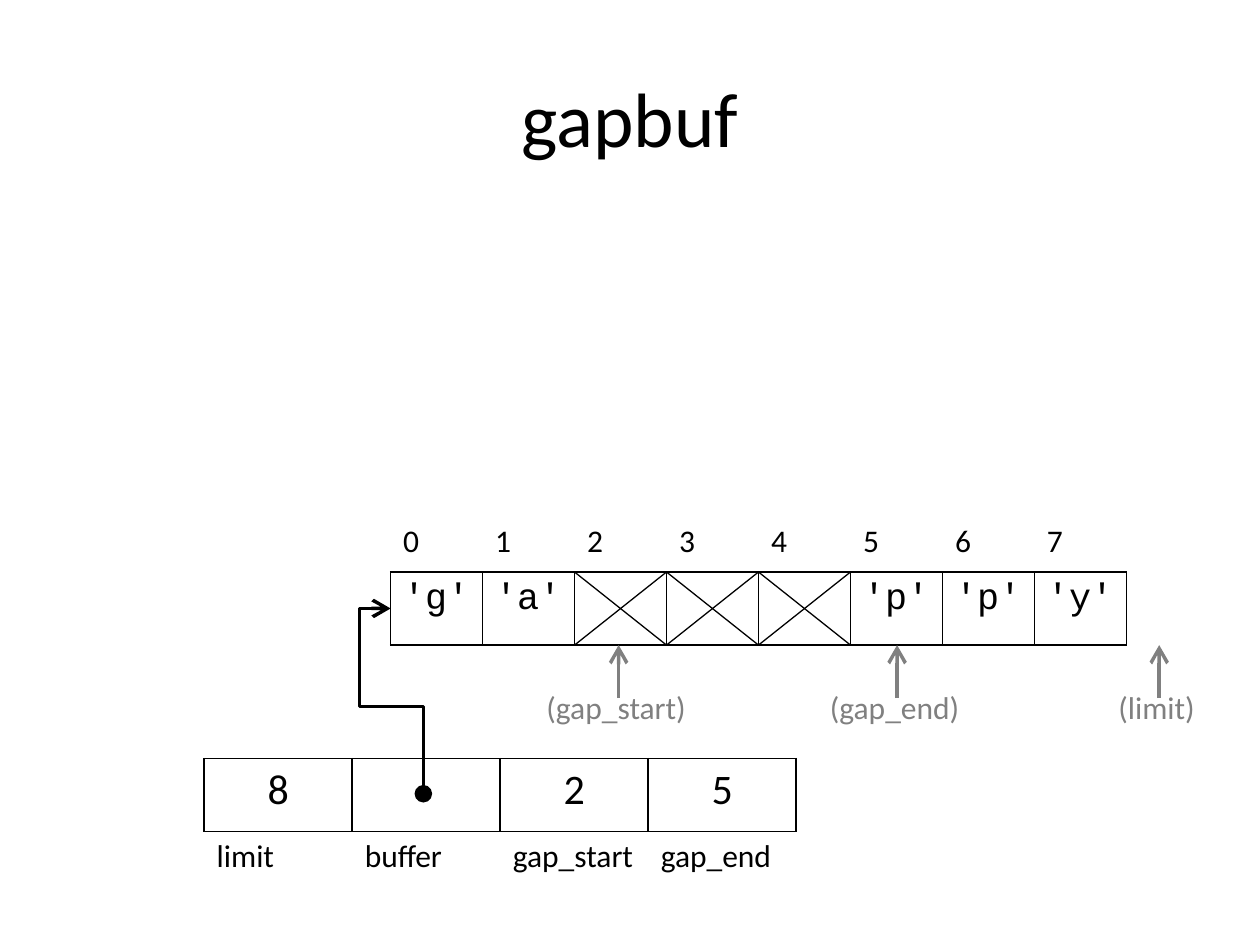
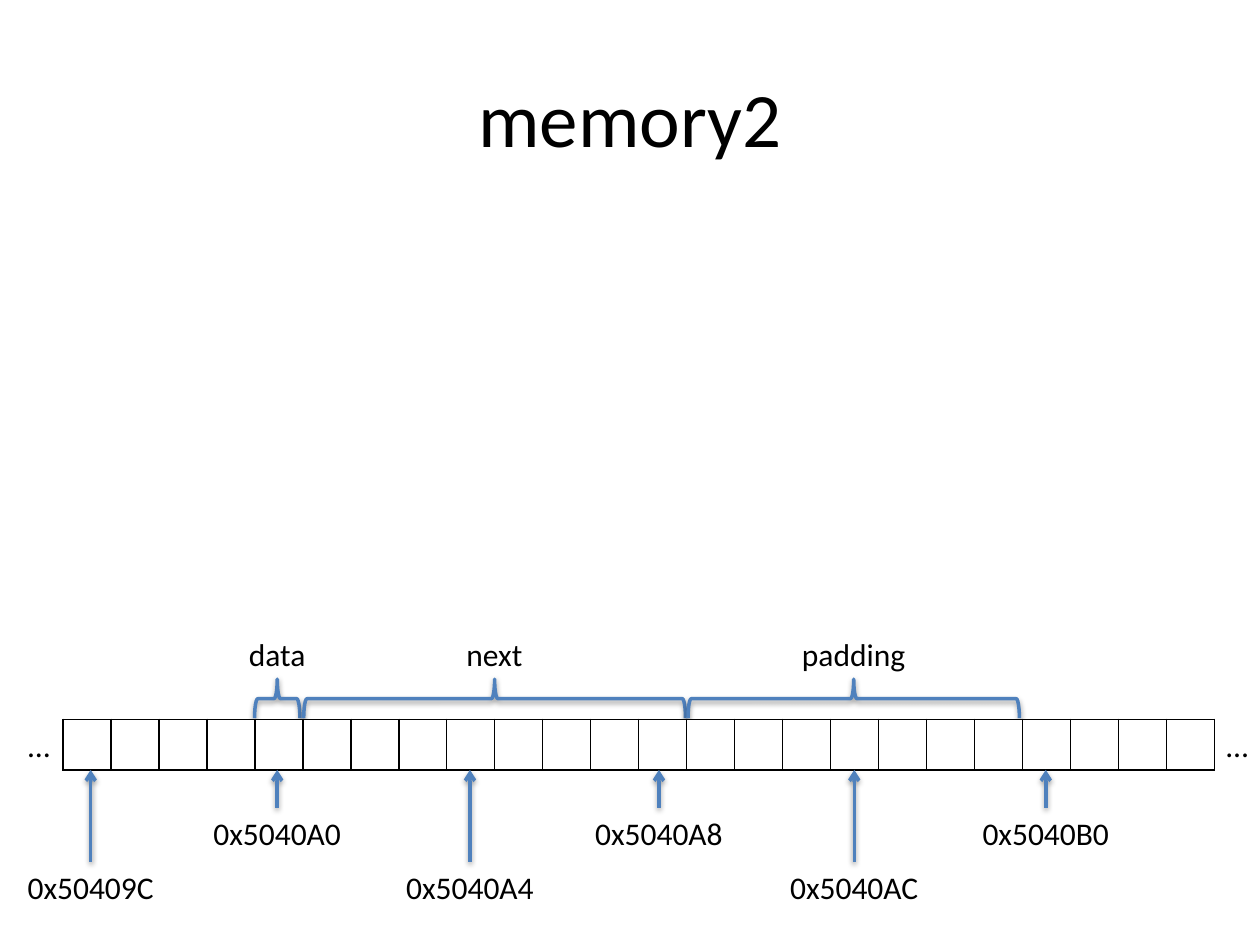
import pptx
import pptx.util
import pptx.dml.color
import pptx.oxml
import pptx.oxml.ns
import pptx.enum.shapes
import pptx.enum.text
from lxml import etree

Inches = pptx.util.Inches
Pt = pptx.util.Pt
CENTER = pptx.enum.text.PP_ALIGN.CENTER
LEFT = pptx.enum.text.PP_ALIGN.LEFT
CONNECTOR = pptx.enum.shapes.MSO_CONNECTOR

BLACK, WHITE, GREY, BLUE = "000000", "FFFFFF", "808080", "4F81BD"
BODY_FONT, CODE_FONT = "Calibri", "Courier New"
LABEL_SIZE = 18
LABEL_HEIGHT = 0.4

SOFT_SHADOW = (
    '<a:effectLst xmlns:a="http://schemas.openxmlformats.org/drawingml/2006/main">'
    '<a:outerShdw blurRad="40000" dist="20000" dir="5400000" rotWithShape="0">'
    '<a:srgbClr val="000000"><a:alpha val="38000"/></a:srgbClr>'
    '</a:outerShdw></a:effectLst>'
)


def rgb(hex_string):
    return pptx.dml.color.RGBColor.from_string(hex_string)


def add_xml(parent, tag, **attributes):
    return etree.SubElement(parent, pptx.oxml.ns.qn(tag), attributes)


# Text shared by both slides
def write(frame, text, size=LABEL_SIZE, color=BLACK, font=BODY_FONT, align=CENTER):
    paragraph = frame.paragraphs[0]
    paragraph.alignment = align
    run = paragraph.add_run()
    run.text = text
    run.font.size = Pt(size)
    run.font.name = font
    run.font.color.rgb = rgb(color)


def add_label(slide, text, center, top, color=BLACK, width=1.4):
    box = slide.shapes.add_textbox(
        Inches(center - width / 2), Inches(top), Inches(width), Inches(LABEL_HEIGHT))
    box.text_frame.word_wrap = False
    write(box.text_frame, text, color=color)


def add_titled_slide(deck, title):
    slide = deck.slides.add_slide(deck.slide_layouts[5])
    heading = slide.shapes.title
    heading.left, heading.top = Inches(0.5), Inches(0.3)
    heading.width, heading.height = Inches(9), Inches(1.25)
    heading.text_frame.vertical_anchor = pptx.enum.text.MSO_ANCHOR.MIDDLE
    write(heading.text_frame, title, size=44)
    return slide


# Lines, arrows and braces
def style_line(shape, color, width, shadow=False, head=None, tail=None, end_size="med"):
    shape.line.color.rgb = rgb(color)
    shape.line.width = Pt(width)
    outline = shape.line._get_or_add_ln()
    for tag, kind in (("a:headEnd", head), ("a:tailEnd", tail)):
        if kind:
            add_xml(outline, tag, type=kind, w=end_size, len=end_size)
    properties = shape._element.spPr
    if shadow:
        properties.append(pptx.oxml.parse_xml(SOFT_SHADOW))
    else:
        add_xml(properties, "a:effectLst")


def add_line(slide, start, end, color, width, kind=CONNECTOR.STRAIGHT, **style):
    line = slide.shapes.add_connector(
        kind, *(Inches(value) for value in (*start, *end)))
    style_line(line, color, width, **style)
    return line


def add_brace(slide, box):
    """Lay a left brace on its side so that it fills the box."""
    left, top, width, height = box
    middle_x, middle_y = left + width / 2, top + height / 2
    brace = slide.shapes.add_shape(
        pptx.enum.shapes.MSO_SHAPE.LEFT_BRACE,
        Inches(middle_x - height / 2), Inches(middle_y - width / 2),
        Inches(height), Inches(width))
    brace.rotation = 90
    brace.fill.background()
    style_line(brace, BLUE, 2, shadow=True)


# One-row tables of memory cells
def add_cells(slide, box, texts, framed=True, **text_style):
    table = slide.shapes.add_table(
        1, len(texts), *(Inches(value) for value in box)).table
    table.first_row = table.horz_banding = False
    for column, cell, text in zip(table.columns, table.rows[0].cells, texts):
        column.width = Inches(box[2] / len(texts))
        if framed:
            properties = cell._tc.get_or_add_tcPr()
            for side in "LRTB":
                border = add_xml(properties, f"a:ln{side}", w=str(Pt(1)))
                add_xml(add_xml(border, "a:solidFill"), "a:srgbClr", val=BLACK)
            cell.fill.solid()
            cell.fill.fore_color.rgb = rgb(WHITE)
        else:
            cell.fill.background()
        if text:
            write(cell.text_frame, text, **text_style)


# Gap buffer slide
def draw_character_array(slide, box):
    left, top, width, height = box
    characters = ["'g'", "'a'", "", "", "", "'p'", "'p'", "'y'"]
    add_cells(slide, box, characters, size=21, font=CODE_FONT, align=LEFT)
    add_cells(slide, (left, top - 0.44, width, LABEL_HEIGHT),
              [str(index) for index in range(len(characters))],
              framed=False, align=LEFT)

    # Crosses over the cells of the gap
    step, bottom = width / len(characters), top + height
    for index, character in enumerate(characters):
        if not character:
            x = left + index * step
            add_line(slide, (x, bottom), (x + step, top), BLACK, 0.75)
            add_line(slide, (x, top), (x + step, bottom), BLACK, 0.75)

    # Positions that the fields stand for
    for name, offset in (("(gap_start)", 1.81), ("(gap_end)", 4.02), ("(limit)", 6.1)):
        x = left + offset
        add_line(slide, (x, bottom + 0.42), (x, bottom), GREY, 2,
                 tail="arrow", end_size="lg")
        add_label(slide, name, x - 0.02, bottom + 0.29, GREY)


def draw_struct(slide, box):
    left, top, width, height = box
    fields = {"limit": "8", "buffer": "", "gap_start": "2", "gap_end": "5"}
    add_cells(slide, (left, top + height, width, LABEL_HEIGHT), list(fields),
              framed=False, align=LEFT)
    add_cells(slide, box, list(fields.values()), size=24)


def draw_buffer_pointer(slide, start, end):
    """Elbow that leaves upwards from start and enters end from its left."""
    middle_x, middle_y = (start[0] + end[0]) / 2, (start[1] + end[1]) / 2
    run, rise = (start[1] - end[1]) / 2, (start[0] - end[0]) / 2
    pointer = add_line(slide, (middle_x - run, middle_y + rise),
                       (middle_x + run, middle_y - rise), BLACK, 2,
                       kind=CONNECTOR.ELBOW, head="oval", tail="arrow", end_size="lg")
    properties = pointer._element.spPr
    properties.xfrm.set("rot", str(270 * 60000))
    geometry = properties.find(pptx.oxml.ns.qn("a:prstGeom"))
    geometry.set("prst", "bentConnector4")
    bends = geometry.find(pptx.oxml.ns.qn("a:avLst"))
    for name, value in (("adj1", 47200), ("adj2", 194600)):
        add_xml(bends, "a:gd", name=name, fmla=f"val {value}")


def build_gapbuf(deck):
    slide = add_titled_slide(deck, "gapbuf")
    draw_character_array(slide, (3.1, 4.54, 5.84, 0.58))
    draw_struct(slide, (1.62, 6.02, 4.7, 0.58))
    draw_buffer_pointer(slide, (3.36, 6.3), (3.1, 4.83))


# Memory slide
def draw_fields(slide, top):
    for name, left, width in (
            ("data", 2.02, 0.36), ("next", 2.41, 3.03), ("padding", 5.46, 2.63)):
        add_brace(slide, (left, top, width, 0.31))
        add_label(slide, name, left + width / 2, top - 0.4)


def draw_addresses(slide, top):
    near, far = 0.3, 0.73
    for address, x, drop in (
            ("0x50409C", 0.72, far), ("0x5040A0", 2.2, near),
            ("0x5040A4", 3.73, far), ("0x5040A8", 5.23, near),
            ("0x5040AC", 6.78, far), ("0x5040B0", 8.3, near)):
        add_label(slide, address, x, top + drop)
        add_line(slide, (x, top + drop), (x, top), BLUE, 2, shadow=True, tail="arrow")


def build_memory(deck):
    slide = add_titled_slide(deck, "memory2")
    left, top, width, height = strip = (0.5, 5.71, 9.14, 0.4)
    draw_fields(slide, top - 0.32)
    add_cells(slide, strip, [""] * 24)
    draw_addresses(slide, top + height)
    for center in (left - 0.19, left + width + 0.18):
        add_label(slide, "…", center, top, width=0.38)


def main():
    deck = pptx.Presentation()
    deck.slide_width, deck.slide_height = Inches(10), Inches(7.5)
    build_gapbuf(deck)
    build_memory(deck)
    deck.save("out.pptx")


if __name__ == "__main__":
    main()
